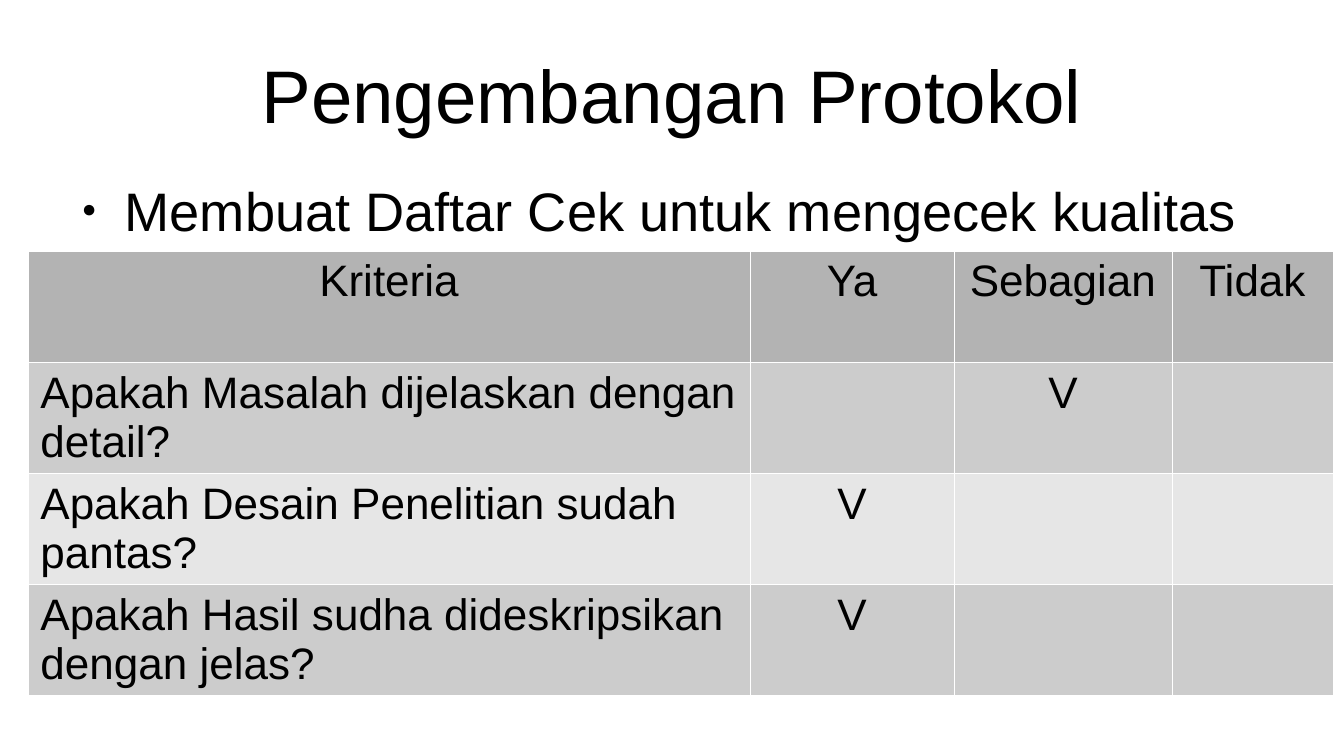
from lxml.etree import SubElement
from pptx import Presentation
from pptx.dml.color import RGBColor
from pptx.enum.text import MSO_ANCHOR, MSO_AUTO_SIZE, PP_ALIGN
from pptx.oxml.ns import qn
from pptx.util import Inches, Pt

COLORS = {
    "ink": "000000",
    "rule": "FFFFFF",
    "header": "B3B3B3",
    "odd": "CCCCCC",
    "even": "E6E6E6",
}
FONT = "Arial"
TITLE_SIZE, BODY_SIZE, TABLE_SIZE = 44, 32, 26
COLUMN_SHARES = [53.7, 15.2, 16.2, 12]
ROW_SHARE = 14.7
CHECKLIST = [
    ["Kriteria", "Ya", "Sebagian", "Tidak"],
    ["Apakah Masalah dijelaskan dengan detail?", "", "V", ""],
    ["Apakah Desain Penelitian sudah pantas?", "V", "", ""],
    ["Apakah Hasil sudha dideskripsikan dengan jelas?", "V", "", ""],
]


class SlideBuilder:
    def __init__(self, deck):
        self.deck = deck
        self.page = deck.slides.add_slide(deck.slide_layouts[1])

    def across(self, percent):
        return round(self.deck.slide_width * percent / 100)

    def down(self, percent):
        return round(self.deck.slide_height * percent / 100)

    def set_text(self, frame, text, size, align):
        frame.text = text
        para = frame.paragraphs[0]
        para.alignment = align
        para.font.size = Pt(size)
        for span in para.runs:
            span.font.name = FONT
            span.font.size = Pt(size)
            span.font.bold = False
            span.font.color.rgb = RGBColor.from_string(COLORS["ink"])
        return para

    def fill_placeholder(self, box, text, size, align, anchor, top, height):
        box.left, box.top = self.across(5), self.down(top)
        box.width, box.height = self.across(90), self.down(height)
        frame = box.text_frame
        frame.margin_left = frame.margin_right = 0
        frame.margin_top = frame.margin_bottom = 0
        frame.word_wrap = True
        frame.auto_size = MSO_AUTO_SIZE.NONE
        frame.vertical_anchor = anchor
        return self.set_text(frame, text, size, align)

    def title(self, text):
        self.fill_placeholder(self.page.shapes.title, text, TITLE_SIZE,
                              PP_ALIGN.CENTER, MSO_ANCHOR.MIDDLE, 4, 16.8)

    def bullet(self, text):
        para = self.fill_placeholder(self.page.placeholders[1], text, BODY_SIZE,
                                     PP_ALIGN.LEFT, MSO_ANCHOR.TOP, 23.4, 8.9)
        para.space_before = Pt(4)
        properties = para._p.get_or_add_pPr()
        properties.set("marL", str(Inches(0.47)))
        properties.set("indent", str(Inches(-0.35)))
        for default in properties.findall(qn("a:defRPr")):
            properties.remove(default)
        color = SubElement(properties, qn("a:buClr"))
        SubElement(color, qn("a:srgbClr"), val=COLORS["ink"])
        SubElement(properties, qn("a:buSzPct"), val="45000")
        SubElement(properties, qn("a:buFont"), typeface=FONT)
        SubElement(properties, qn("a:buChar"), char="●")

    def border(self, cell):
        properties = cell._tc.get_or_add_tcPr()
        for index, side in enumerate(("a:lnL", "a:lnR", "a:lnT", "a:lnB")):
            line = properties.makeelement(qn(side), {"w": str(Pt(0.06))})
            solid = SubElement(line, qn("a:solidFill"))
            SubElement(solid, qn("a:srgbClr"), val=COLORS["rule"])
            properties.insert(index, line)

    def table(self, rows, left, top):
        width = self.across(sum(COLUMN_SHARES))
        height = self.down(ROW_SHARE * len(rows))
        table = self.page.shapes.add_table(
            len(rows), len(COLUMN_SHARES), self.across(left), self.down(top),
            width, height).table
        for column, share in zip(table.columns, COLUMN_SHARES):
            column.width = self.across(share)
        for r, texts in enumerate(rows):
            table.rows[r].height = self.down(ROW_SHARE)
            shade = "header" if r == 0 else "odd" if r % 2 else "even"
            for c, text in enumerate(texts):
                cell = table.cell(r, c)
                cell.fill.solid()
                cell.fill.fore_color.rgb = RGBColor.from_string(COLORS[shade])
                align = PP_ALIGN.LEFT if r and c == 0 else PP_ALIGN.CENTER
                self.set_text(cell.text_frame, text, TABLE_SIZE, align)
                self.border(cell)


def main():
    deck = Presentation()
    deck.slide_width, deck.slide_height = Inches(11.02), Inches(6.2)
    builder = SlideBuilder(deck)
    builder.title("Pengembangan Protokol")
    builder.bullet("Membuat Daftar Cek untuk mengecek kualitas")
    builder.table(CHECKLIST, 2.1, 33.2)
    deck.save("out.pptx")


if __name__ == "__main__":
    main()
